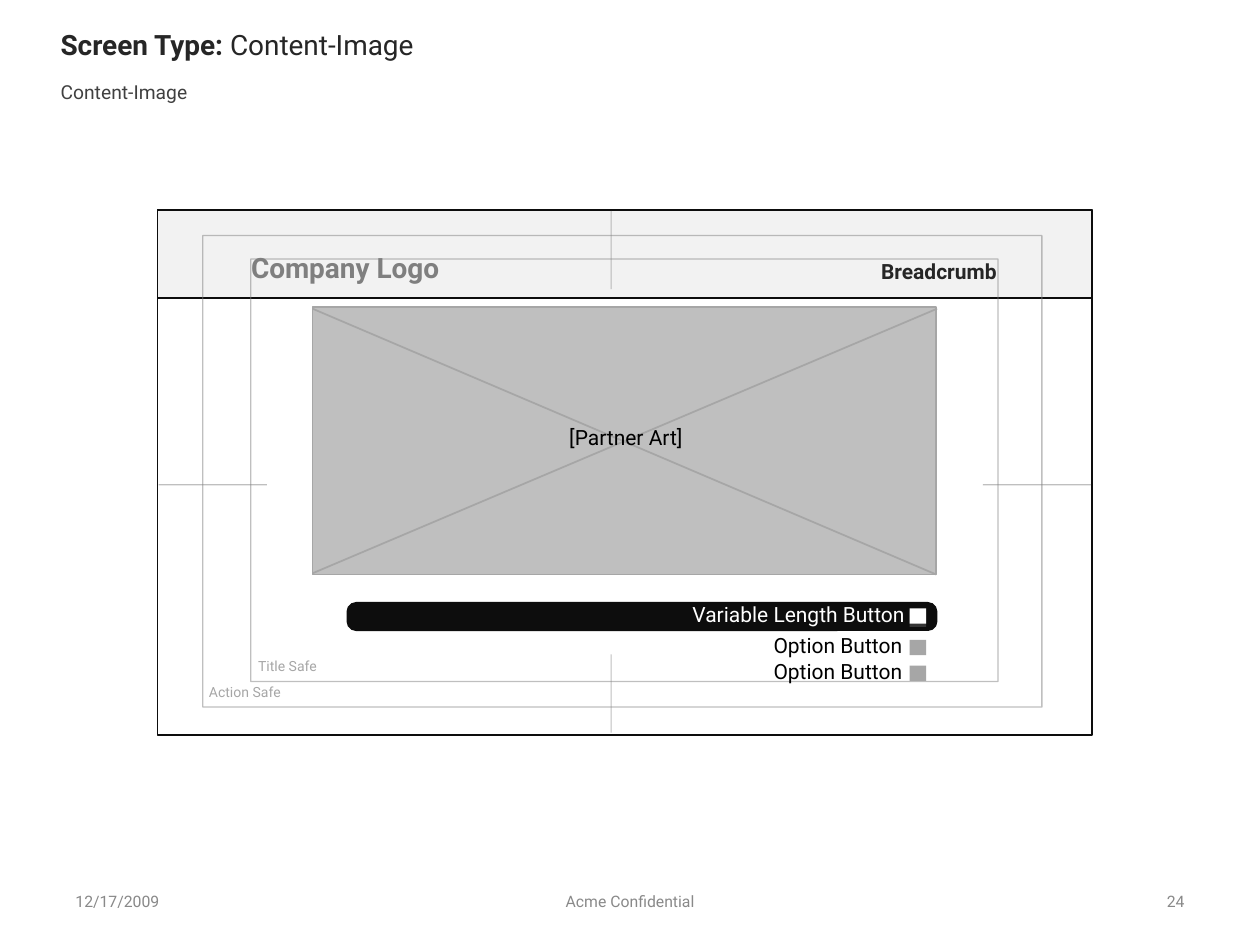
from lxml import etree
from pptx import Presentation
from pptx.dml.color import RGBColor
from pptx.enum.shapes import MSO_CONNECTOR, MSO_SHAPE
from pptx.enum.text import MSO_ANCHOR, MSO_AUTO_SIZE, PP_ALIGN
from pptx.oxml.ns import qn
from pptx.util import Pt

RECT, ROUND = MSO_SHAPE.RECTANGLE, MSO_SHAPE.ROUNDED_RECTANGLE
STRAIGHT = MSO_CONNECTOR.STRAIGHT
LEFT, CENTER, RIGHT = PP_ALIGN.LEFT, PP_ALIGN.CENTER, PP_ALIGN.RIGHT
TOP, MIDDLE = MSO_ANCHOR.TOP, MSO_ANCHOR.MIDDLE
NONE, GROW = MSO_AUTO_SIZE.NONE, MSO_AUTO_SIZE.SHAPE_TO_FIT_TEXT
FONT = "Roboto"
INK, GRAY, SILVER = "0D0D0D", "808080", "A6A6A6"


def paint(target, color):
    """Set a font colour or a solid fill from a hex string."""
    if hasattr(target, "solid"):
        target.solid()
        target = target.fore_color
    else:
        target = target.color
    target.rgb = RGBColor.from_string(color)


def fade(fill, share):
    """Give a solid fill an opacity in percent."""
    color = fill._xPr.find(qn("a:solidFill"))[0]
    etree.SubElement(color, qn("a:alpha"), val=str(share * 1000))


def style(run, size, color, bold=False):
    """Format one run."""
    run.font.name, run.font.size, run.font.bold = FONT, Pt(size), bold
    paint(run.font, color)


def place(shape, box):
    """Move and size a shape in points."""
    shape.left, shape.top, shape.width, shape.height = map(Pt, box)


def block(shapes, box, fill=None, line=None, weight=1, kind=RECT, clear=100):
    """Add a preset shape."""
    shape = shapes.add_shape(kind, *map(Pt, box))
    shape.shadow.inherit = False
    if fill:
        paint(shape.fill, fill)
        fade(shape.fill, clear)
    else:
        shape.fill.background()
    if line:
        paint(shape.line.fill, line)
        shape.line.width = Pt(weight)
        fade(shape.line.fill, clear)
    else:
        shape.line.fill.background()
    return shape


def stroke(shapes, start, end):
    """Add a diagonal line."""
    line = shapes.add_connector(STRAIGHT, *map(Pt, start + end))
    etree.SubElement(line._element.spPr, qn("a:effectLst"))
    paint(line.line.fill, SILVER)
    line.line.width = Pt(1)


def label(shapes, text, box, size, color, align=LEFT, bold=False, fixed=False):
    """Add a text box, either fixed or growing with its text."""
    shape = shapes.add_textbox(*map(Pt, box))
    frame = shape.text_frame
    frame.text = text
    frame.word_wrap = fixed
    frame.auto_size = NONE if fixed else GROW
    frame.vertical_anchor = MIDDLE if fixed else TOP
    para = frame.paragraphs[0]
    para.alignment = align
    style(para.runs[0], size, color, bold)


def heads(slide):
    """Fill the title and the body placeholder."""
    title, body = slide.placeholders
    place(title, (27.4, 12.2, 648, 31.7))
    place(body, (27.4, 42.5, 200, 21))
    for shape, text in ((title, "Screen Type: "), (body, "Content-Image")):
        frame = shape.text_frame
        frame.text = text
        frame.auto_size, frame.vertical_anchor = NONE, TOP
        frame.paragraphs[0].alignment = LEFT
    para = title.text_frame.paragraphs[0]
    style(para.runs[0], 16, "262626", True)
    rest = para.add_run()
    rest.text = "Content-Image"
    style(rest, 16, "262626")
    para = body.text_frame.paragraphs[0]
    props = para._p.get_or_add_pPr()
    props.set("marL", "0")
    props.set("indent", "0")
    etree.SubElement(props, qn("a:buNone"))
    para.space_before, para.space_after = Pt(0), Pt(6)
    style(para.runs[0], 11, "404040")


def foot(shapes):
    """Add the date, notice and page number."""
    for text, left, width, align in (
        ("12/17/2009", 36, 168, LEFT),
        ("Acme Confidential", 246, 228, CENTER),
        ("24", 516, 168, RIGHT),
    ):
        label(shapes, text, (left, 500.5, width, 28.8), 9, "898989", align, fixed=True)


def art(shapes):
    """Add the crossed picture area."""
    group = shapes.add_group_shape().shapes
    area = block(group, (178.6, 175.5, 356.4, 152.8), "BFBFBF", SILVER, kind=ROUND)
    area.adjustments[0] = 0
    stroke(group, (178.6, 176.4), (535, 328.3))
    stroke(group, (178.6, 327.6), (535.5, 176.4))
    label(shapes, "[Partner Art]", (318.2, 239, 82.8, 21.6), 12, "000000")


def guides(shapes):
    """Add the screen outline, safe areas and centre marks."""
    group = shapes.add_group_shape().shapes
    block(group, (90, 120, 534, 300), line=INK)
    for box in ((115.9, 134.6, 479.5, 269.5), (143.3, 148, 427, 241.5)):
        block(group, box, line=GRAY, weight=0.75, clear=50)
    for left, top, width, turn in (
        (90.6, 276.7, 62, 0), (561.6, 276.7, 62, 0),
        (326.8, 142.5, 44.8, 90), (326.8, 396, 44.8, 90),
    ):
        mark = block(group, (left, top, width, 0.75), GRAY, clear=50)
        mark.rotation = turn
    for text, left, top in (("Action Safe", 112.3, 385.9), ("Title Safe", 140.4, 370.8)):
        label(group, text, (left, top, 77, 19.4), 8, SILVER, fixed=True)


def cast(shape):
    """Add a short shadow below a shape."""
    effects = shape._element.spPr.find(qn("a:effectLst"))
    shadow = etree.SubElement(
        effects, qn("a:outerShdw"), blurRad="0", dist=str(Pt(1.8)), dir="5400000")
    color = etree.SubElement(shadow, qn("a:srgbClr"), val=GRAY)
    etree.SubElement(color, qn("a:alpha"), val="35000")


def menu(shapes):
    """Add the option buttons and the selected button."""
    for row in range(2):
        drop = row * 14.8
        block(shapes, (519.8, 365.6 + drop, 9.4, 8.8), SILVER)
        label(shapes, "Option Button", (432.7, 358 + drop, 90, 21.6),
              12, "000000", RIGHT)
    group = shapes.add_group_shape().shapes
    bar = block(group, (198, 344, 337.7, 16.6), INK, kind=ROUND)
    bar.adjustments[0] = 0.33
    cast(block(group, (519.8, 347.6, 9.4, 8.8), "FFFFFF"))
    label(shapes, "Variable Length Button", (385.2, 340, 139, 21.6),
          12, "FFFFFF", RIGHT)


def main():
    """Build the slide."""
    deck = Presentation()
    deck.slide_width, deck.slide_height = Pt(720), Pt(540)
    slide = deck.slides.add_slide(deck.slide_layouts[1])
    shapes = slide.shapes
    foot(shapes)
    block(shapes, (90, 120, 534, 50.4), "F2F2F2", INK)
    heads(slide)
    label(shapes, "Company Logo", (136.4, 139.7, 124, 26.6), 16, "7F7F7F", bold=True)
    art(shapes)
    label(shapes, "Breadcrumb", (493.2, 144, 83.5, 21.6), 12, "262626", RIGHT, True)
    guides(shapes)
    menu(shapes)
    deck.save("out.pptx")


if __name__ == "__main__":
    main()
